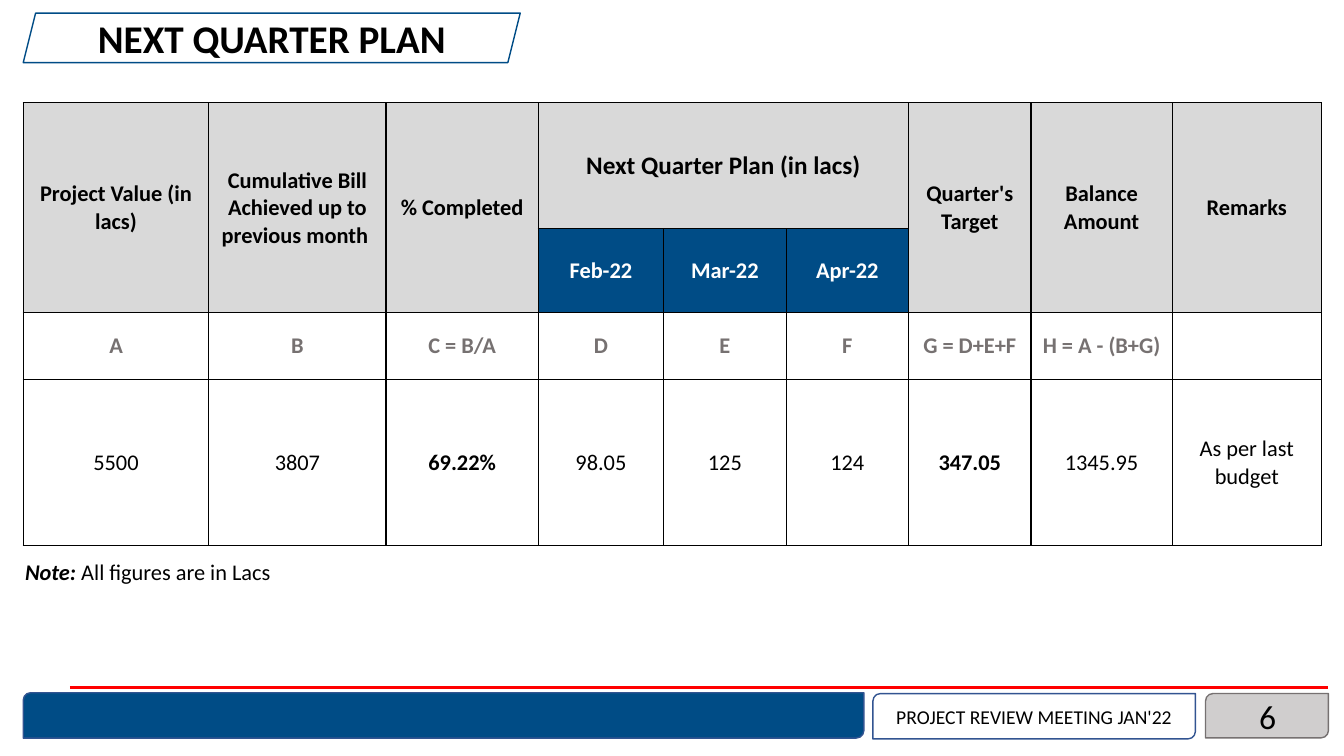
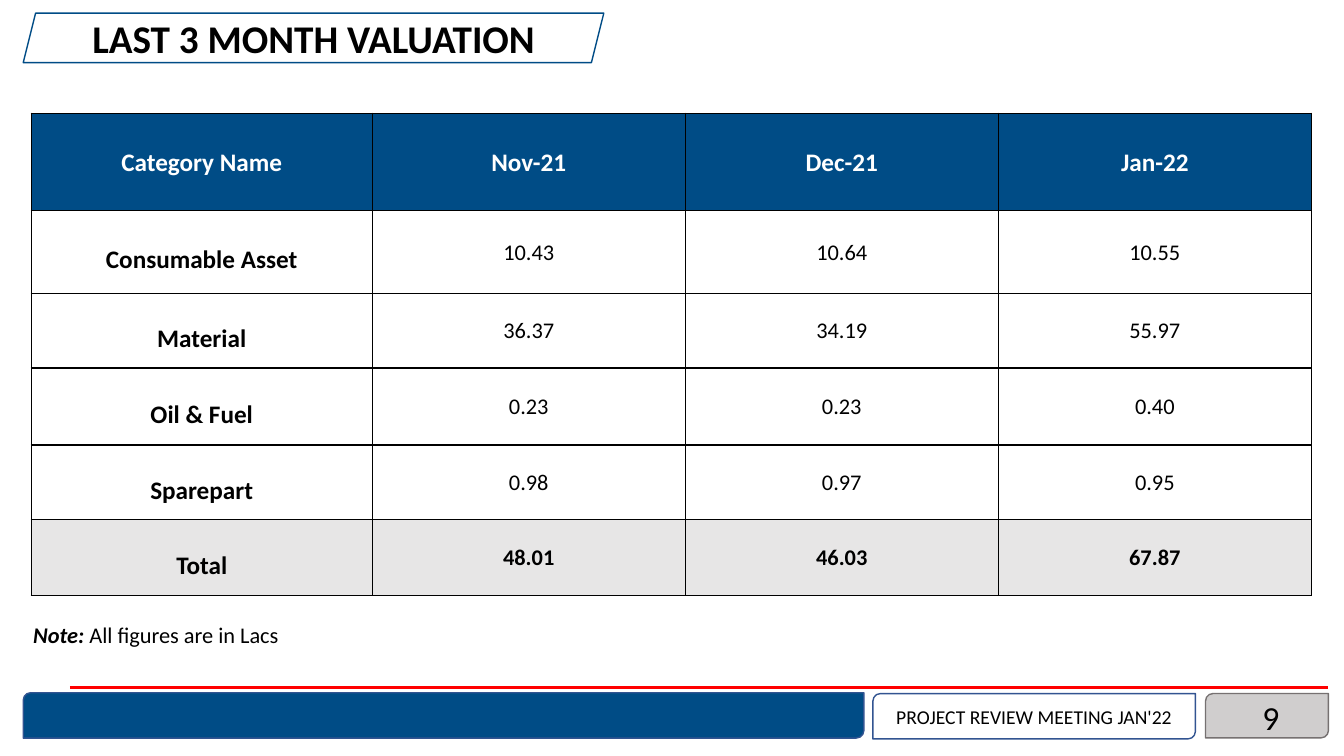
from pptx import Presentation
from pptx.dml.color import RGBColor
from pptx.enum.shapes import MSO_CONNECTOR, MSO_SHAPE
from pptx.enum.text import MSO_ANCHOR, MSO_AUTO_SIZE, PP_ALIGN
from pptx.oxml.ns import qn
from pptx.oxml.xmlchemy import OxmlElement
from pptx.util import Pt

LINE = MSO_CONNECTOR.STRAIGHT
SLANT = MSO_SHAPE.PARALLELOGRAM
ROUND = MSO_SHAPE.ROUND_2_DIAG_RECTANGLE
MIDDLE = MSO_ANCHOR.MIDDLE
GROW = MSO_AUTO_SIZE.SHAPE_TO_FIT_TEXT
LEFT, CENTER, RIGHT = PP_ALIGN.LEFT, PP_ALIGN.CENTER, PP_ALIGN.RIGHT

FONT = "Calibri"
BLACK, WHITE, RED = "000000", "FFFFFF", "FF0000"
BLUE, EDGE, GRAY = "004C86", "325491", "767171"
HEAD, TOTAL, BADGE = "D9D9D9", "E7E6E6", "D0CECE"
SIDE = 16.6

STRONG = {"size": Pt(16), "bold": True}
PLAIN = {"size": Pt(16), "bold": False}
LARGE = {"size": Pt(18), "bold": True}


def color(code):
    return RGBColor.from_string(code)


def apply(target, values):
    for name, value in values.items():
        setattr(target, name, value)


def paint(fill, code):
    if code:
        fill.solid()
        fill.fore_color.rgb = color(code)
    else:
        fill.background()


def write(frame, runs, align, ink=BLACK):
    para = frame.paragraphs[0]
    para.alignment = align
    for text, style in runs:
        run = para.add_run()
        run.text = text
        apply(run.font, {"name": FONT, **style})
        run.font.color.rgb = color(ink)
    return para


def add_box(slide, kind, box, line, fill=None, text="", style=None):
    shape = slide.shapes.add_shape(kind, *map(Pt, box))
    shape.shadow.inherit = False
    paint(shape.fill, fill)
    shape.line.color.rgb = color(line)
    shape.line.width = Pt(1)
    if text:
        frame = shape.text_frame
        apply(frame, {"word_wrap": True, "vertical_anchor": MIDDLE,
                      "margin_top": 0, "margin_bottom": 0})
        write(frame, [(text, style)], CENTER)


def add_text(slide, box, runs, align, values):
    frame = slide.shapes.add_textbox(*map(Pt, box)).text_frame
    apply(frame, {"word_wrap": True, **values})
    write(frame, runs, align)


def add_rule(slide, start, end, top):
    rule = slide.shapes.add_connector(LINE, Pt(start), Pt(top), Pt(end), Pt(top))
    rule.line.color.rgb = color(RED)
    rule.line.width = Pt(2.25)
    rule._element.spPr.append(OxmlElement("a:effectLst"))


def add_frame(slide, title, width, number, shift):
    add_box(slide, SLANT, (SIDE, 9.4, width, 35.3), BLUE,
            text=title, style={"size": Pt(28), "bold": True})
    add_box(slide, ROUND, (861.1, 495.4, 87.8, 31.7), GRAY, BADGE)
    add_rule(slide, 50, 948.5, 491)
    add_box(slide, ROUND, (SIDE, 494.8, 600.5, 32.4), EDGE, BLUE)
    add_box(slide, ROUND, (623.5, 495.4, 230.4, 32.4), EDGE,
            text="PROJECT REVIEW MEETING JAN'22", style={"size": Pt(14)})
    add_text(slide, (702.7 + shift, 496.8 + shift / 2, 216, 28.8),
             [(number, {"size": Pt(24)})], RIGHT, {"vertical_anchor": MIDDLE})


def add_note(slide, left, top):
    runs = [("Note: ", {**STRONG, "italic": True}),
            ("All figures are in Lacs", PLAIN)]
    add_text(slide, (left, top, 439, 26.6), runs, LEFT, {"auto_size": GROW})


def add_grid(slide, left, top, cols, rows):
    box = map(Pt, (left, top, sum(cols), sum(rows)))
    grid = slide.shapes.add_table(len(rows), len(cols), *box).table
    apply(grid, {"first_row": False, "horz_banding": False})
    for col, width in zip(grid.columns, cols):
        col.width = Pt(width)
    for row, height in zip(grid.rows, rows):
        row.height = Pt(height)
    for cell in grid.iter_cells():
        add_edge(cell)
        paint(cell.fill, None)
    return grid


def add_edge(cell):
    props = cell._tc.get_or_add_tcPr()
    for side in ("L", "R", "T", "B"):
        edge = OxmlElement(f"a:ln{side}")
        edge.set("w", str(Pt(1)))
        fill = OxmlElement("a:solidFill")
        tint = OxmlElement("a:srgbClr")
        tint.set("val", BLACK)
        fill.append(tint)
        edge.append(fill)
        props.append(edge)
    apply(cell, {"vertical_anchor": MIDDLE, "margin_left": Pt(0.75),
                 "margin_right": Pt(0.75), "margin_top": Pt(0.75),
                 "margin_bottom": 0})


def fill_cell(cell, text, style, ink=BLACK, fill=None):
    paint(cell.fill, fill)
    if text:
        return write(cell.text_frame, [(text, style)], CENTER, ink)


def draw_plan(slide):
    add_frame(slide, "NEXT QUARTER PLAN", 355, "6", 0)
    cols = [132.5, 126.7, 108.7, 89.6, 87.5, 87.5, 87.5, 100.8, 106.6]
    grid = add_grid(slide, SIDE, 73.4, cols, [90, 59.6, 48, 118.6])
    heads = ["Project Value (in lacs)",
             "Cumulative Bill Achieved up to previous month ",
             "% Completed", "Next Quarter Plan (in lacs)", None, None,
             "Quarter's Target", "Balance Amount", "Remarks"]
    months = {3: "Feb-22", 4: "Mar-22", 5: "Apr-22"}
    keys = ["A", "B", "C = B/A", "D", "E", "F", "G = D+E+F", "H = A - (B+G)", ""]
    data = ["5500", "3807", "69.22%", "98.05", "125", "124", "347.05",
            "1345.95", "As per last budget"]
    grid.cell(0, 3).merge(grid.cell(0, 5))
    for col, (head, key, value) in enumerate(zip(heads, keys, data)):
        if col in months:
            fill_cell(grid.cell(1, col), months[col], STRONG, WHITE, BLUE)
        else:
            grid.cell(0, col).merge(grid.cell(1, col))
        fill_cell(grid.cell(0, col), head, LARGE if col == 3 else STRONG, fill=HEAD)
        fill_cell(grid.cell(2, col), key, STRONG, GRAY)
        fill_cell(grid.cell(3, col), value, STRONG if col in (2, 6) else PLAIN)
    add_note(slide, 10.8, 395.3)


def draw_value(slide):
    add_frame(slide, "LAST 3 MONTH VALUATION", 414.7, "9", 2.2)
    grid = add_grid(slide, 22.3, 80.9, [243.6] + [223.6] * 3,
                    [69.5, 59, 53.5, 55, 53.5, 54])
    data = [("Category Name", "Nov-21", "Dec-21", "Jan-22"),
            ("Consumable Asset", "10.43", "10.64", "10.55"),
            ("Material", "36.37", "34.19", "55.97"),
            ("Oil & Fuel", "0.23", "0.23", "0.40"),
            ("Sparepart", "0.98", "0.97", "0.95"),
            ("Total", "48.01", "46.03", "67.87")]
    last = len(data) - 1
    for row, line in enumerate(data):
        for col, text in enumerate(line):
            cell = grid.cell(row, col)
            if row == 0:
                fill_cell(cell, text, LARGE, WHITE, BLUE)
                continue
            fill = TOTAL if row == last else None
            style = STRONG if row == last else PLAIN
            para = fill_cell(cell, text, style if col else LARGE, fill=fill)
            if col == 0:
                para.line_spacing = 1.5
    add_note(slide, SIDE, 439.9)


def main():
    deck = Presentation()
    apply(deck, {"slide_width": Pt(960), "slide_height": Pt(540)})
    for draw in (draw_plan, draw_value):
        draw(deck.slides.add_slide(deck.slide_layouts[6]))
    deck.save("out.pptx")


if __name__ == "__main__":
    main()
